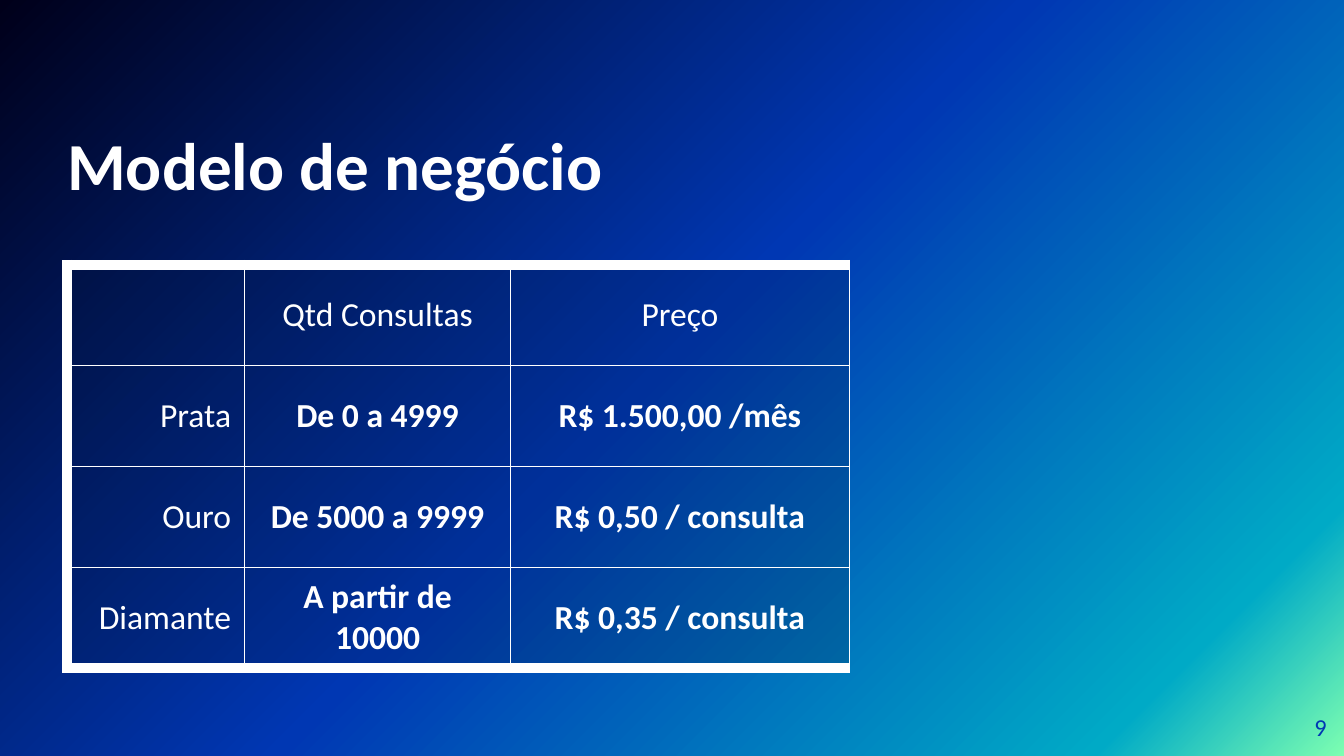
from lxml.etree import SubElement
from pptx import Presentation
from pptx.dml.color import RGBColor
from pptx.enum.text import MSO_ANCHOR as Anchor, PP_ALIGN as Align
from pptx.oxml import parse_xml
from pptx.oxml.ns import nsdecls, qn
from pptx.util import Inches, Pt

FONT = "Calibri"
WHITE = "FFFFFF"
BLUE = "0037B3"
NAVY = "001230"
GRADIENT = [(0, "7DFFB1"), (12, "00AAC6"), (51, BLUE), (100, "00001A")]
THIN, THICK = 0.75, 6
COLUMN_WIDTHS = [1.32, 1.98, 2.52]
ROW_HEIGHT = 0.75
PLANS = [
    ("", "Qtd Consultas", "Preço"),
    ("Prata", "De 0 a 4999", "R$ 1.500,00 /mês"),
    ("Ouro", "De 5000 a 9999", "R$ 0,50 / consulta"),
    ("Diamante", "A partir de 10000", "R$ 0,35 / consulta"),
]


def color(value):
    return RGBColor.from_string(value)


def write(frame, text, size, tint, align, bold=False):
    para = frame.paragraphs[0]
    para.alignment = align
    span = para.add_run()
    span.text = text
    span.font.name = FONT
    span.font.size = Pt(size)
    span.font.bold = bold
    span.font.color.rgb = color(tint)


def clear_margins(frame):
    frame.word_wrap = True
    frame.margin_left = frame.margin_right = 0
    frame.margin_top = frame.margin_bottom = 0


def paint_background(page):
    page.background.fill.solid()
    stops = "".join(
        f'<a:gs pos="{position * 1000}"><a:srgbClr val="{tint}"/></a:gs>'
        for position, tint in GRADIENT
    )
    gradient = parse_xml(
        f'<a:gradFill {nsdecls("a")} rotWithShape="1"><a:gsLst>{stops}</a:gsLst>'
        f'<a:lin ang="{225 * 60000}" scaled="0"/></a:gradFill>'
    )
    solid = page.background._cSld.find(".//" + qn("a:solidFill"))
    solid.getparent().replace(solid, gradient)


def add_title(page, left, top, width, height):
    title = page.shapes.title
    title.left, title.top = Inches(left), Inches(top)
    title.width, title.height = Inches(width), Inches(height)
    frame = title.text_frame
    clear_margins(frame)
    frame.vertical_anchor = Anchor.BOTTOM
    write(frame, "Modelo de negócio", 36, WHITE, Align.LEFT, True)


def style_cell(cell, widths):
    cell.fill.solid()
    cell.fill.fore_color.rgb = color(NAVY)
    properties = cell._tc.get_or_add_tcPr()
    tint = properties.find(".//" + qn("a:srgbClr"))
    SubElement(tint, qn("a:alpha")).set("val", "19000")
    for index, (side, width) in enumerate(zip("LRTB", widths)):
        border = parse_xml(
            f'<a:ln{side} {nsdecls("a")} w="{Pt(width)}"><a:solidFill>'
            f'<a:srgbClr val="{WHITE}"/></a:solidFill></a:ln{side}>'
        )
        properties.insert(index, border)


def add_price_table(page, left, top):
    rows, columns = len(PLANS), len(COLUMN_WIDTHS)
    table = page.shapes.add_table(
        rows, columns, Inches(left), Inches(top),
        Inches(sum(COLUMN_WIDTHS)), Inches(rows * ROW_HEIGHT),
    ).table
    table.first_row = table.horz_banding = False
    for column, width in zip(table.columns, COLUMN_WIDTHS):
        column.width = Inches(width)
    for r, plan in enumerate(PLANS):
        table.rows[r].height = Inches(ROW_HEIGHT)
        for c, text in enumerate(plan):
            cell = table.cell(r, c)
            cell.vertical_anchor = Anchor.MIDDLE
            cell.margin_left = cell.margin_right = Inches(0.1)
            cell.margin_top = cell.margin_bottom = Inches(0.07)
            style_cell(cell, (
                THICK if c == 0 else THIN,
                THIN,
                THICK if r == 0 else THIN,
                THICK if r == rows - 1 else THIN,
            ))
            if text:
                align = Align.RIGHT if c == 0 else Align.CENTER
                write(cell.text_frame, text, 18, WHITE, align, r > 0 and c > 0)


def add_page_number(page, left, top, width, height):
    box = page.shapes.add_textbox(
        Inches(left), Inches(top), Inches(width), Inches(height))
    frame = box.text_frame
    clear_margins(frame)
    frame.vertical_anchor = Anchor.MIDDLE
    write(frame, "9", 13, BLUE, Align.RIGHT)


def main():
    deck = Presentation()
    deck.slide_width = Inches(10)
    deck.slide_height = deck.slide_width * 9 // 16
    page = deck.slides.add_slide(deck.slide_layouts[5])
    paint_background(page)
    add_title(page, 0.5, 0.58, 6.59, 0.94)
    add_price_table(page, 0.5, 1.97)
    add_page_number(page, 9.27, 5.19, 0.6, 0.43)
    deck.save("out.pptx")


if __name__ == "__main__":
    main()
